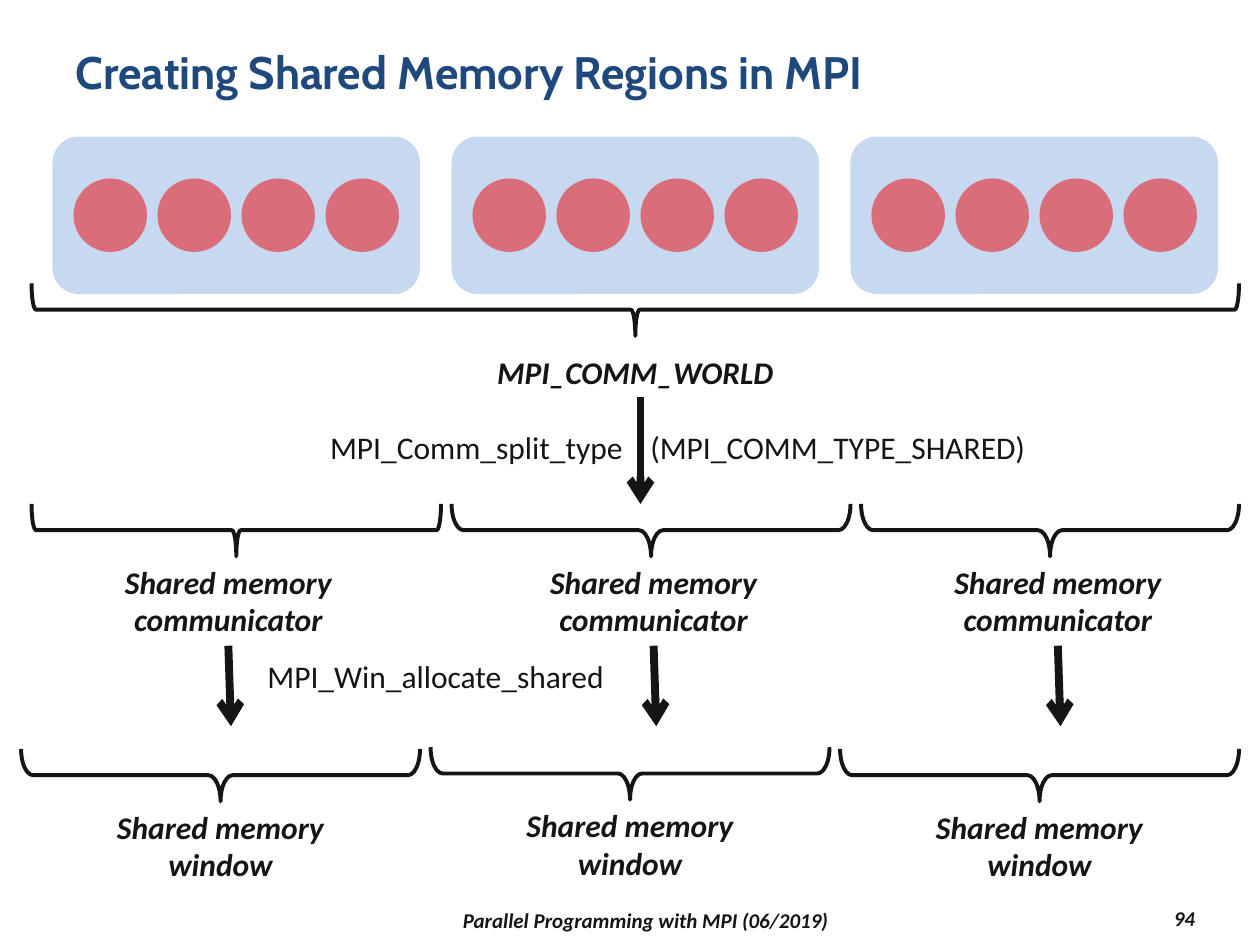
from dataclasses import dataclass

import pptx
import pptx.dml.color
import pptx.enum.shapes
import pptx.enum.text
import pptx.oxml
import pptx.oxml.ns
import pptx.util

Pt = pptx.util.Pt
SHAPE = pptx.enum.shapes.MSO_SHAPE
ALIGN = pptx.enum.text.PP_ALIGN
ANCHOR = pptx.enum.text.MSO_ANCHOR
FIT = pptx.enum.text.MSO_AUTO_SIZE


@dataclass(frozen=True)
class Theme:
    heading_font: str = "Cabin"
    body_font: str = "Calibri"
    heading: str = "1F497D"
    ink: str = "151515"
    node: str = "C6D9F1"
    process: str = "D96E7A"
    heading_size: float = 26
    label_size: float = 18
    footer_size: float = 12
    brace_line: float = 2.25
    arrow_line: float = 4.5


@dataclass(frozen=True)
class Box:
    left: float
    top: float
    width: float
    height: float

    def lengths(self):
        return [Pt(v) for v in (self.left, self.top, self.width, self.height)]


THEME = Theme()


def rgb(value):
    return pptx.dml.color.RGBColor.from_string(value)


def add_run(paragraph, text, size, color=THEME.ink, font=THEME.body_font,
            bold=False, italic=False):
    run = paragraph.add_run()
    run.text = text
    run.font.name, run.font.size = font, Pt(size)
    run.font.color.rgb = rgb(color)
    run.font.bold, run.font.italic = bold, italic


def add_label(slide, box, text, size=THEME.label_size, strong=True,
              align=ALIGN.CENTER, anchor=ANCHOR.TOP, fit=FIT.SHAPE_TO_FIT_TEXT):
    label = slide.shapes.add_textbox(*box.lengths())
    frame = label.text_frame
    frame.word_wrap, frame.auto_size = True, fit
    frame.vertical_anchor = anchor
    paragraph = frame.paragraphs[0]
    paragraph.alignment = align
    add_run(paragraph, text, size, bold=strong, italic=strong)
    return frame


def add_solid(slide, kind, box, color):
    solid = slide.shapes.add_shape(kind, *box.lengths())
    solid.shadow.inherit = False
    solid.fill.solid()
    solid.fill.fore_color.rgb = rgb(color)
    solid.line.fill.background()


def add_brace(slide, box, curl=None):
    """Fill the box with a brace that points down."""
    upright = Box(box.left + (box.width - box.height) / 2,
                  box.top + (box.height - box.width) / 2,
                  box.height, box.width)
    brace = slide.shapes.add_shape(SHAPE.RIGHT_BRACE, *upright.lengths())
    brace.rotation = 90
    if curl is not None:
        brace.adjustments[0] = curl
    brace.shadow.inherit = False
    brace.fill.background()
    brace.line.color.rgb = rgb(THEME.ink)
    brace.line.width = Pt(THEME.brace_line)


def add_arrow(slide, box):
    """Draw an arrow from the top left to the bottom right of the box."""
    arrow = slide.shapes.add_connector(
        pptx.enum.shapes.MSO_CONNECTOR.STRAIGHT, Pt(box.left), Pt(box.top),
        Pt(box.left + box.width), Pt(box.top + box.height))
    arrow.line.color.rgb = rgb(THEME.ink)
    arrow.line.width = Pt(THEME.arrow_line)
    tail = pptx.oxml.parse_xml(
        f'<a:tailEnd {pptx.oxml.ns.nsdecls("a")} type="arrow"/>')
    arrow.line._get_or_add_ln().append(tail)
    properties = arrow._element.spPr
    properties.append(pptx.oxml.parse_xml(
        f'<a:effectLst {pptx.oxml.ns.nsdecls("a")}/>'))


def fill_title(slide, box, text):
    title = slide.shapes.title
    title.left, title.top, title.width, title.height = box.lengths()
    frame = title.text_frame
    frame.auto_size, frame.vertical_anchor = FIT.NONE, ANCHOR.TOP
    paragraph = frame.paragraphs[0]
    paragraph.alignment = ALIGN.LEFT
    add_run(paragraph, text, THEME.heading_size, THEME.heading,
            THEME.heading_font, bold=True)


def add_node(slide, box, processes=4):
    add_solid(slide, SHAPE.ROUNDED_RECTANGLE, box, THEME.node)
    for i in range(processes):
        circle = Box(box.left + 12 + 48 * i, box.top + 24, 42, 42)
        add_solid(slide, SHAPE.OVAL, circle, THEME.process)


def add_world(slide, box):
    add_brace(slide, Box(box.left, box.top, box.width, 30))
    add_label(slide, Box(box.left + 234, box.top + 36, 222, 29),
              "MPI_COMM_WORLD")
    add_arrow(slide, Box(box.left + 348, box.top + 65, 0, 61))


def add_split_call(slide, box):
    """Name the call left of the arrow and its argument right of it."""
    frame = add_label(slide, box, "MPI_Comm_split_type\t(MPI_COMM_TYPE_SHARED)",
                      strong=False, align=ALIGN.LEFT)
    frame.margin_left = Pt(20.6)
    tabs = pptx.oxml.parse_xml(
        f'<a:tabLst {pptx.oxml.ns.nsdecls("a")}>'
        f'<a:tab pos="{Pt(183)}" algn="l"/></a:tabLst>')
    frame.paragraphs[0]._p.get_or_add_pPr().append(tabs)


def add_communicator(slide, box, label_left, curl):
    add_brace(slide, Box(box.left, box.top, box.width, 30), curl)
    add_label(slide, Box(label_left, box.top + 30, 141, 51),
              "Shared memory communicator")
    add_arrow(slide, Box(label_left + 70.5, box.top + 81, 1.5, 46))


def add_window(slide, box):
    add_brace(slide, Box(box.left, box.top, box.width, 30), 0.23)
    add_label(slide, Box(box.left + 42, box.top + 30, 144, 51),
              "Shared memory window")


def add_footer(slide, box):
    small = dict(size=THEME.footer_size, anchor=ANCHOR.MIDDLE, fit=FIT.NONE)
    add_label(slide, Box(box.left, box.top + 1, 426, box.height),
              "Parallel Programming with MPI (06/2019)", **small)
    add_label(slide, Box(box.left + box.width - 78, box.top, 78, box.height),
              "94", align=ALIGN.RIGHT, **small)


def main():
    deck = pptx.Presentation()
    deck.slide_width, deck.slide_height = Pt(720), Pt(540)
    slide = deck.slides.add_slide(deck.slide_layouts[5])

    fill_title(slide, Box(36, 21.6, 648, 62.6),
               "Creating Shared Memory Regions in MPI")
    for i in range(3):
        add_node(slide, Box(30 + 228 * i, 78, 210, 90))
    add_world(slide, Box(18, 162, 690, 126))
    add_split_call(slide, Box(168, 241, 438, 29))
    for left, width, label_left, curl in ((18, 234, 60, None),
                                          (258, 228, 303, 0.23),
                                          (492, 216, 534, 0.23)):
        add_communicator(slide, Box(left, 288, width, 127), label_left, curl)
    add_label(slide, Box(138, 372, 222, 29), "MPI_Win_allocate_shared",
              strong=False)
    for i, top in enumerate((428, 427, 428)):
        add_window(slide, Box(12 + 234 * i, top, 228, 81))
    add_footer(slide, Box(156, 515, 534, 19.5))

    deck.save("out.pptx")


if __name__ == "__main__":
    main()
